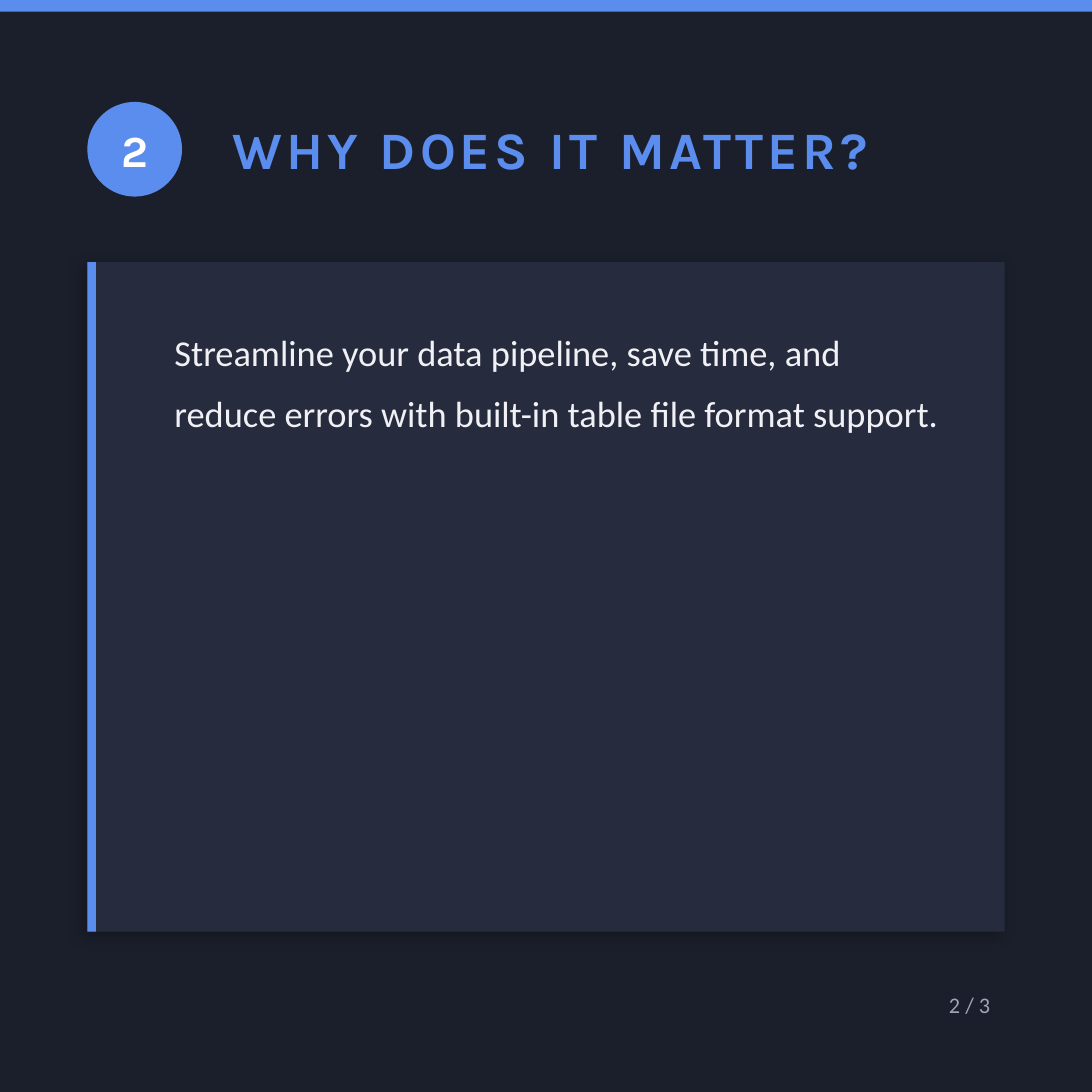
"""Build a dark square slide with a numbered heading and a text card."""
from dataclasses import dataclass

from lxml import etree
from pptx import Presentation
from pptx.dml.color import RGBColor
from pptx.enum.shapes import MSO_SHAPE
from pptx.enum.text import MSO_ANCHOR, PP_ALIGN
from pptx.oxml.ns import qn
from pptx.util import Pt

RECTANGLE, OVAL = MSO_SHAPE.RECTANGLE, MSO_SHAPE.OVAL
LEFT, CENTER, RIGHT = PP_ALIGN.LEFT, PP_ALIGN.CENTER, PP_ALIGN.RIGHT
TOP, MIDDLE = MSO_ANCHOR.TOP, MSO_ANCHOR.MIDDLE

SIDE = 540
MARGIN = 43.2
CONTENT_WIDTH = SIDE - 2 * MARGIN
CARD_TOP, CARD_HEIGHT = 129.6, 331.2
BACKGROUND, ACCENT, CARD = "1B1F2B", "5B8DEF", "262B3D"
HEADING_FONT, BODY_FONT = "Karla", "Calibri"


@dataclass(frozen=True)
class Box:
    """Position and size in points."""
    left: float
    top: float
    width: float
    height: float

    def lengths(self) -> tuple:
        """Return the four lengths for python-pptx."""
        return Pt(self.left), Pt(self.top), Pt(self.width), Pt(self.height)


@dataclass(frozen=True)
class Panel:
    """A filled shape without outline."""
    box: Box
    fill: str
    kind: int = RECTANGLE
    shadow: bool = False


BADGE = Box(MARGIN, 50.4, 46.8, 46.8)
PANELS = [
    Panel(Box(0, 0, SIDE, 5.76), ACCENT),
    Panel(BADGE, ACCENT, kind=OVAL),
    Panel(Box(MARGIN, CARD_TOP, CONTENT_WIDTH, CARD_HEIGHT), CARD, shadow=True),
    Panel(Box(MARGIN, CARD_TOP, 4.32, CARD_HEIGHT), ACCENT),
]


def color(value: str) -> RGBColor:
    """Turn a hex string into a colour."""
    return RGBColor.from_string(value)


def add_shadow(shape) -> None:
    """Give a shape a soft black outer shadow."""
    effects = shape._element.spPr.find(qn("a:effectLst"))
    outer = etree.SubElement(
        effects, qn("a:outerShdw"), blurRad=str(Pt(8)), dist=str(Pt(3)),
        dir=str(135 * 60000), algn="bl", rotWithShape="0")
    black = etree.SubElement(outer, qn("a:srgbClr"), val="000000")
    etree.SubElement(black, qn("a:alpha"), val="25000")


def add_panel(page, panel: Panel) -> None:
    """Draw one filled shape."""
    shape = page.shapes.add_shape(panel.kind, *panel.box.lengths())
    shape.fill.solid()
    shape.fill.fore_color.rgb = color(panel.fill)
    shape.line.fill.background()
    shape.shadow.inherit = False
    if panel.shadow:
        add_shadow(shape)


def add_text(page, text: str, box: Box, *, size: float, fill: str,
             font: str = BODY_FONT, bold: bool = False, align: int = LEFT,
             anchor: int = MIDDLE, line_spacing: float = 1.0,
             tracking: float = 0) -> None:
    """Write one paragraph in a wrapped text box."""
    frame = page.shapes.add_textbox(*box.lengths()).text_frame
    frame.word_wrap = True
    frame.vertical_anchor = anchor
    para = frame.paragraphs[0]
    para.alignment = align
    para.line_spacing = line_spacing
    span = para.add_run()
    span.text = text
    span.font.name = font
    span.font.size = Pt(size)
    span.font.bold = bold
    span.font.color.rgb = color(fill)
    if tracking:
        span.font._element.set("spc", str(round(tracking * 100)))


def main() -> None:
    """Compose and save the slide."""
    deck = Presentation()
    deck.slide_width = deck.slide_height = Pt(SIDE)
    page = deck.slides.add_slide(deck.slide_layouts[6])
    page.background.fill.solid()
    page.background.fill.fore_color.rgb = color(BACKGROUND)

    for panel in PANELS:
        add_panel(page, panel)

    add_text(page, "2", BADGE, size=22, fill="FFFFFF", font=HEADING_FONT,
             bold=True, align=CENTER)
    add_text(page, "WHY DOES IT MATTER?", Box(108, 51.84, 388.8, 43.2),
             size=26, fill=ACCENT, font=HEADING_FONT, bold=True, tracking=2)
    add_text(page, "Streamline your data pipeline, save time, and reduce errors "
             "with built-in table file format support.",
             Box(79.2, 151.2, 396, 288), size=18, fill="F0F0F5",
             anchor=TOP, line_spacing=1.4)
    add_text(page, "2 / 3", Box(MARGIN, 482.4, CONTENT_WIDTH, 28.8),
             size=11, fill="A0A4B8", align=RIGHT)
    deck.save("out.pptx")


if __name__ == "__main__":
    main()
